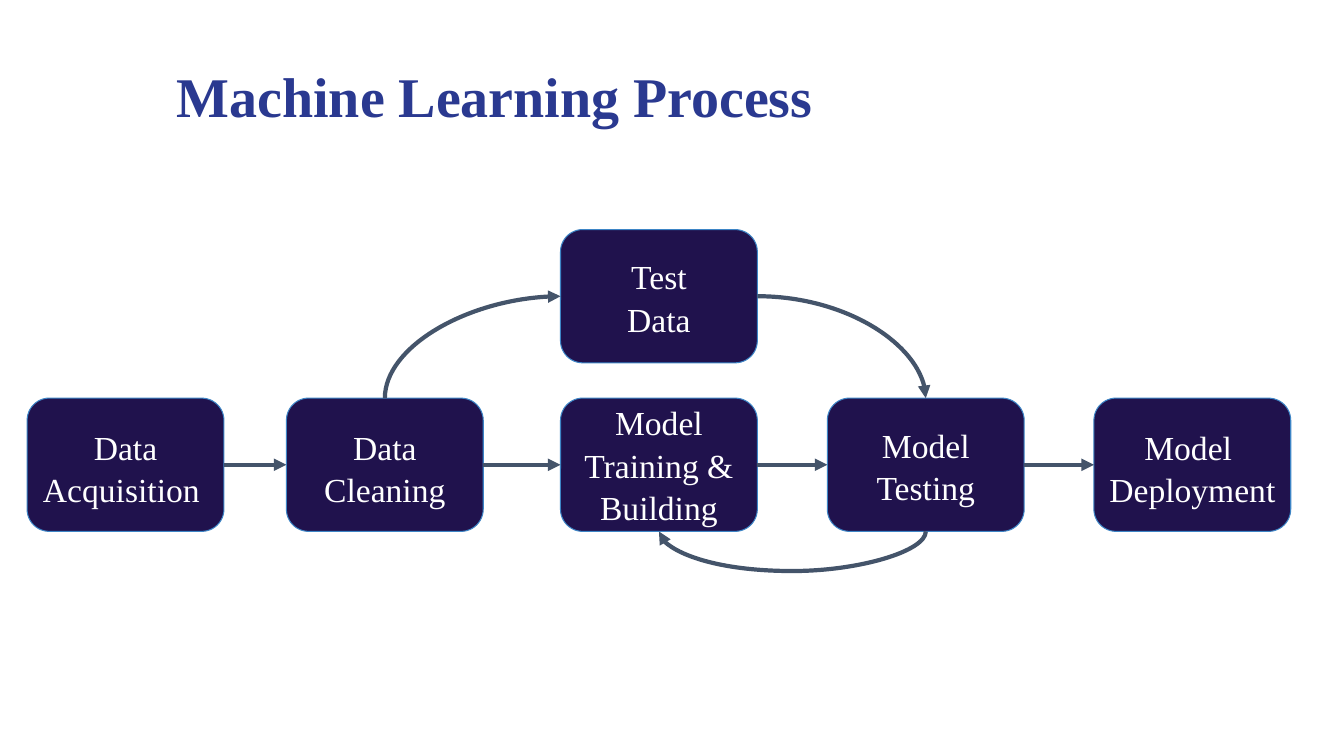
from lxml import etree
from pptx import Presentation
from pptx.dml.color import RGBColor
from pptx.enum.shapes import MSO_CONNECTOR, MSO_SHAPE
from pptx.enum.text import PP_ALIGN
from pptx.oxml.ns import qn
from pptx.util import Pt

ROUND = MSO_SHAPE.ROUNDED_RECTANGLE
STRAIGHT, CURVE = MSO_CONNECTOR.STRAIGHT, MSO_CONNECTOR.CURVE
LEFT, CENTER = PP_ALIGN.LEFT, PP_ALIGN.CENTER
FONT = "Times New Roman"
TITLE, NAVY, BLUE, SLATE, WHITE = "2A3990", "20124D", "3D85C6", "44546A", "FFFFFF"
BOX_W, BOX_H, INSET = 140.6, 95.2, 9.6
ROW_Y, TEST_Y = 284.4, 164
MID_Y = ROW_Y + BOX_H / 2

# box left, label top, label lines
STEPS = [
    (19.4, 293.8, ["Data", "Acquisition "]),
    (204.6, 293.8, ["Data", "Cleaning"]),
    (400.4, 276.4, ["Model", "Training &", "Building"]),
    (591, 292.2, ["Model", "Testing"]),
    (781.4, 293.8, ["Model ", "Deployment"]),
]


def color(code):
    return RGBColor.from_string(code)


def put(item, values):
    for name, value in values.items():
        setattr(item, name, value)


def add_text(slide, area, lines, size, code, align, pitch, bold=False):
    frame = slide.shapes.add_textbox(*map(Pt, area)).text_frame
    put(frame, {"word_wrap": True, "margin_left": Pt(INSET), "margin_right": Pt(INSET),
                "margin_top": Pt(INSET), "margin_bottom": Pt(INSET)})
    frame.text = "\n".join(lines)
    for para in frame.paragraphs:
        put(para, {"alignment": align, "line_spacing": pitch})
        font = para.runs[0].font
        put(font, {"name": FONT, "size": Pt(size), "bold": bold})
        font.color.rgb = color(code)


def add_box(slide, left, top):
    box = slide.shapes.add_shape(ROUND, Pt(left), Pt(top), Pt(BOX_W), Pt(BOX_H))
    box.shadow.inherit = False
    box.fill.solid()
    box.fill.fore_color.rgb = color(NAVY)
    box.line.color.rgb = color(BLUE)
    box.line.width = Pt(0.75)
    return box


def add_arrow(slide, kind, start, end):
    link = slide.shapes.add_connector(kind, *map(Pt, (*start, *end)))
    link.line.color.rgb = color(SLATE)
    link.line.width = Pt(3)
    props = link._element.spPr
    etree.SubElement(props.find(qn("a:ln")), qn("a:tailEnd"), type="triangle")
    etree.SubElement(props, qn("a:effectLst"))
    return link


def add_curve(slide, start, end, turn=0, bulge=0):
    """Draw a quarter bend, or a loop when bulge is set, turned by 0, 90 or 270 degrees."""
    wide, high = abs(end[0] - start[0]), abs(end[1] - start[1])
    if turn:
        wide, high = max(high, 0.1), wide
    mid_x, mid_y = (start[0] + end[0]) / 2, (start[1] + end[1]) / 2
    link = add_arrow(slide, CURVE, (mid_x - wide / 2, mid_y - high / 2),
                     (mid_x + wide / 2, mid_y + high / 2))
    props = link._element.spPr
    props.find(qn("a:xfrm")).set("rot", str(turn * 60000))
    shape = props.find(qn("a:prstGeom"))
    shape.set("prst", "curvedConnector3" if bulge else "curvedConnector2")
    if bulge:
        ratio = round(bulge / wide * 100000)
        etree.SubElement(shape.find(qn("a:avLst")), qn("a:gd"),
                         name="adj1", fmla=f"val {ratio}")


def main():
    deck = Presentation()
    put(deck, {"slide_width": Pt(960), "slide_height": Pt(540)})
    slide = deck.slides.add_slide(deck.slide_layouts[6])
    add_text(slide, (116.6, 29.5, 894, 64), ["Machine Learning Process"],
             40, TITLE, LEFT, 1.1, True)

    boxes = [add_box(slide, left, ROW_Y) for left, _, _ in STEPS]
    model_x = STEPS[2][0]
    add_box(slide, model_x, TEST_Y)

    for here, then in zip(boxes, boxes[1:]):
        link = add_arrow(slide, STRAIGHT, (0, MID_Y), (0, MID_Y))
        link.begin_connect(here, 3)
        link.end_connect(then, 1)

    clean, model, test = [left + BOX_W / 2 for left, _, _ in STEPS[1:4]]
    test_mid, low = TEST_Y + BOX_H / 2, ROW_Y + BOX_H
    add_curve(slide, (test, low), (model, low), 90, 25)
    add_curve(slide, (clean, ROW_Y), (model_x, test_mid), 270)
    add_curve(slide, (model_x + BOX_W, test_mid), (test, ROW_Y))

    labels = STEPS + [(model_x, 172, ["Test", "Data"])]
    for left, top, lines in labels:
        extra = 4.6 if "Deployment" in lines else 0
        add_text(slide, (left - extra, top, BOX_W + 2 * extra, 64), lines,
                 24, WHITE, CENTER, 1.05)
    deck.save("out.pptx")


if __name__ == "__main__":
    main()
